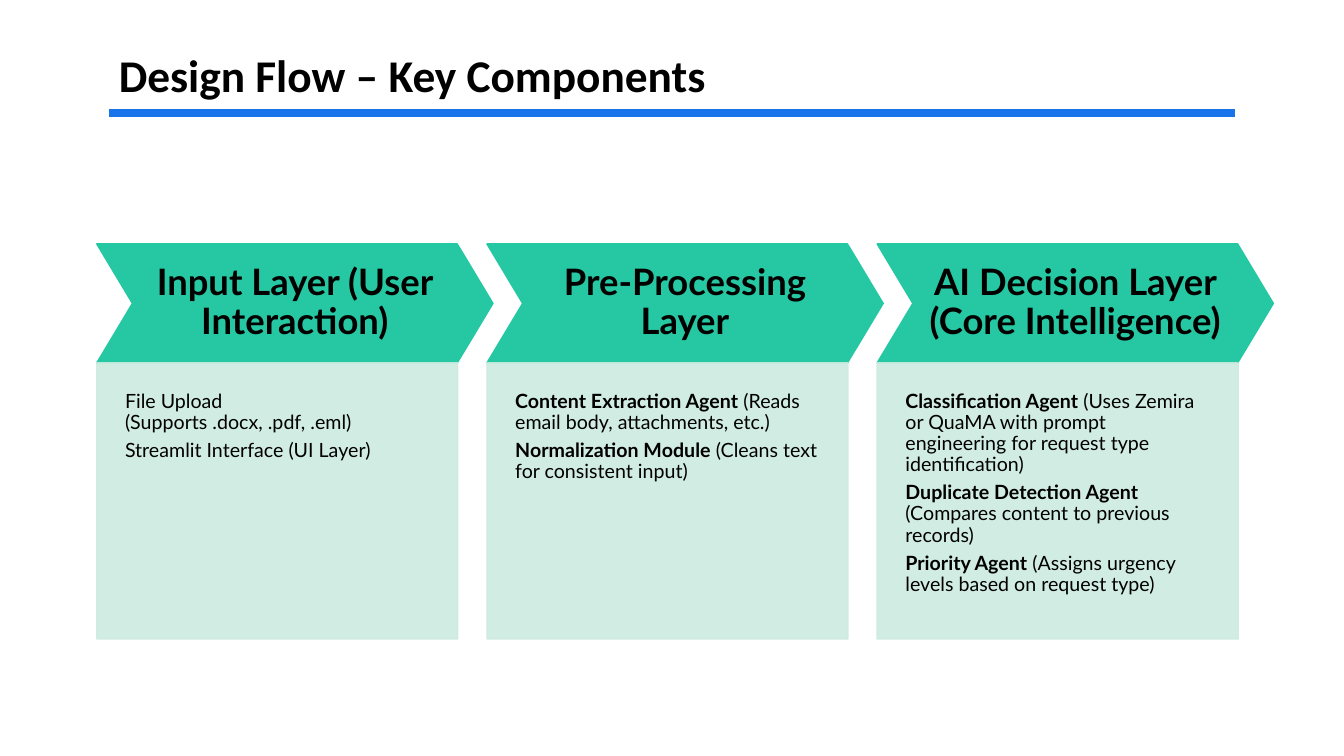
from pptx import Presentation
from pptx.dml.color import RGBColor
from pptx.enum.shapes import MSO_CONNECTOR as LINK, MSO_SHAPE as FORM
from pptx.enum.text import MSO_ANCHOR as ANCHOR, PP_ALIGN as ALIGN
from pptx.oxml.ns import qn
from pptx.util import Pt
from lxml.etree import SubElement as Sub

PX = 9144
BLACK = RGBColor(0x00, 0x00, 0x00)
BLUE = RGBColor(0x19, 0x73, 0xEB)
GREEN = RGBColor(0x25, 0xC8, 0xA2)
MINT = RGBColor(0xCD, 0xEB, 0xE0)

LEFT, STEP, TOP = 96, 387, 242
HEAD_W, HEAD_H = 393, 118
BODY_W, BODY_H = 358, 274

LAYERS = [
    ("Input Layer (User Interaction)", [
        ("", "File Upload\v(Supports .docx, .pdf, .eml)"),
        ("", "Streamlit Interface (UI Layer)"),
    ]),
    ("Pre-Processing Layer", [
        ("Content Extraction Agent", " (Reads email body, attachments, etc.)"),
        ("Normalization Module", " (Cleans text for consistent input)"),
    ]),
    ("AI Decision Layer (Core Intelligence)", [
        ("Classification Agent", " (Uses Zemira or QuaMA with prompt engineering "
                                 "for request type identification)"),
        ("Duplicate Detection Agent", " (Compares content to previous records)"),
        ("Priority Agent", " (Assigns urgency levels based on request type)"),
    ]),
]


def px(*nums):
    return [n * PX for n in nums]


def style(run, face, size, bold):
    font = run.font
    font.name, font.size, font.bold = face, Pt(size), bold
    font.color.rgb = BLACK


def pad(frame, left, top, right, low):
    frame.word_wrap = True
    frame.margin_left, frame.margin_top, frame.margin_right, frame.margin_bottom = px(
        left, top, right, low)


def space(para, after, align):
    para.line_spacing = 0.9
    para.space_after = Pt(after)
    para.alignment = align


def block(slide, form, box, color):
    shape = slide.shapes.add_shape(form, *px(*box))
    shape.shadow.inherit = False
    shape.fill.solid()
    shape.fill.fore_color.rgb = color
    shape.line.color.rgb = color
    shape.line.width = Pt(1)
    return shape


def title(slide, text):
    frame = slide.shapes.add_textbox(*px(108, 42, 1133, 64)).text_frame
    pad(frame, 10, 5, 10, 5)
    frame.vertical_anchor = ANCHOR.BOTTOM
    frame.text = text
    style(frame.paragraphs[0].runs[0], "Calibri", 32.4, True)


def rule(slide):
    line = slide.shapes.add_connector(LINK.STRAIGHT, *px(108, 112, 1225, 112))
    line.line.color.rgb = BLUE
    line.line.width = Pt(6)
    Sub(line._element.spPr, qn("a:effectLst"))


def header(slide, left, text):
    shape = block(slide, FORM.CHEVRON, (left, TOP, HEAD_W, HEAD_H), GREEN)
    shape.adjustments[0] = 0.3
    frame = shape.text_frame
    pad(frame, 15, 15, 15, 15)
    frame.vertical_anchor = ANCHOR.MIDDLE
    frame.text = text
    para = frame.paragraphs[0]
    space(para, 9, ALIGN.CENTER)
    style(para.runs[0], "Lato", 26, True)


def panel(slide, left, items):
    shape = block(slide, FORM.RECTANGLE, (left, TOP + HEAD_H, BODY_W, BODY_H), MINT)
    for color in shape._element.spPr.iter(qn("a:srgbClr")):
        Sub(color, qn("a:alpha"), val="90000")
    frame = shape.text_frame
    pad(frame, 28, 28, 28, 57)
    frame.vertical_anchor = ANCHOR.TOP
    frame.text = "\n".join(name or note for name, note in items)
    for para, (name, note) in zip(frame.paragraphs, items):
        space(para, 5, ALIGN.LEFT)
        for run in para.runs:
            style(run, "Lato", 14, bool(name))
        for gap in para._p.findall(qn("a:br")):
            Sub(gap, qn("a:rPr"), sz="1400")
        if name:
            run = para.add_run()
            run.text = note
            style(run, "Lato", 14, False)


def main():
    deck = Presentation()
    deck.slide_width, deck.slide_height = px(1333, 750)
    slide = deck.slides.add_slide(deck.slide_layouts[6])
    title(slide, "Design Flow – Key Components")
    rule(slide)
    for col, (name, items) in enumerate(LAYERS):
        left = LEFT + col * STEP
        header(slide, left, name)
        panel(slide, left, items)
    deck.save("out.pptx")


if __name__ == "__main__":
    main()
